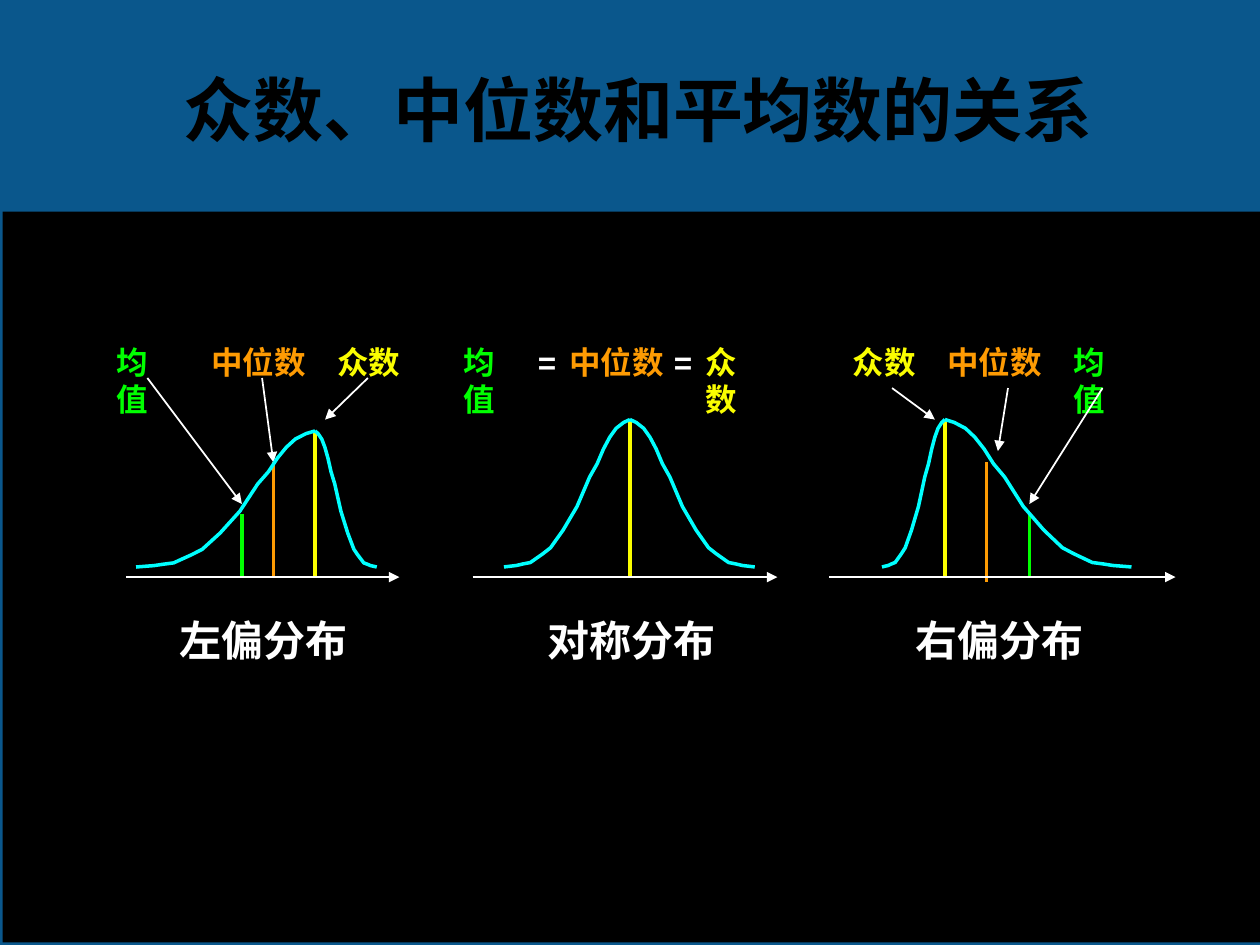
from dataclasses import dataclass

from lxml import etree
from pptx import Presentation
from pptx.dml.color import RGBColor
from pptx.enum.shapes import MSO_CONNECTOR, MSO_SHAPE
from pptx.enum.text import MSO_ANCHOR, MSO_AUTO_SIZE, PP_ALIGN
from pptx.oxml.ns import qn
from pptx.util import Inches, Pt

STRAIGHT = MSO_CONNECTOR.STRAIGHT
RECTANGLE = MSO_SHAPE.RECTANGLE
MIDDLE = MSO_ANCHOR.MIDDLE
LEFT, CENTER = PP_ALIGN.LEFT, PP_ALIGN.CENTER
GROW = MSO_AUTO_SIZE.SHAPE_TO_FIT_TEXT


@dataclass(frozen=True)
class Theme:
    background = RGBColor(0x0A, 0x57, 0x8C)
    black = RGBColor(0, 0, 0)
    white = RGBColor(0xFF, 0xFF, 0xFF)
    mean = RGBColor(0, 0xFF, 0)
    median = RGBColor(0xFE, 0x9B, 0x03)
    mode = RGBColor(0xFA, 0xFD, 0)
    curve = RGBColor(0, 0xFF, 0xFF)
    title_font = "TeX Gyre Pagella"
    body_font = "Arial"
    title_size = Pt(40)
    caption_size = Pt(24)
    label_size = Pt(18)
    thick = Pt(2)
    thin = Pt(1)


theme = Theme()


def add_text(shapes, text, left, top, width, height, *, size, color,
             font=theme.body_font, align=LEFT, wrap=False):
    box = shapes.add_textbox(Inches(left), Inches(top), Inches(width), Inches(height))
    frame = box.text_frame
    frame.word_wrap = wrap
    paragraph = frame.paragraphs[0]
    paragraph.alignment = align
    run = paragraph.add_run()
    run.text = text
    run.font.name = font
    run.font.size = size
    run.font.bold = True
    run.font.color.rgb = color
    return frame


def add_line(shapes, start, end, color, width, arrow=False):
    line = shapes.add_connector(STRAIGHT, *(Inches(v) for v in (*start, *end)))
    line.line.color.rgb = color
    line.line.width = width
    if arrow:
        etree.SubElement(line.line._get_or_add_ln(), qn("a:tailEnd"), type="triangle")
    etree.SubElement(line._element.spPr, qn("a:effectLst"))


# Half of a bell curve, from foot to peak: (share of width, share of height)
BELL = [(0, 0), (0.1, 0.01), (0.15, 0.02), (0.21, 0.03), (0.26, 0.06), (0.31, 0.09),
        (0.37, 0.13), (0.47, 0.25), (0.58, 0.41), (0.68, 0.61), (0.74, 0.7),
        (0.79, 0.8), (0.84, 0.88), (0.89, 0.94), (0.95, 0.98), (1, 1)]
FOOT_Y, AXIS_Y, LABEL_Y, CAPTION_Y = 4.5, 4.58, 2.67, 4.83

MEAN, MEDIAN, MODE = ("均值", theme.mean), ("中位数", theme.median), ("众数", theme.mode)
EQUALS = ("=", theme.white)

# labels: (term, left, width, wrap); markers: (term, x, top, bottom)
distributions = [
    dict(caption="左偏分布", caption_x=1.33, axis=(1, 3.17),
         feet=(2.99, 1.08), peak=(2.5, 3.42),
         labels=[(MEAN, 0.83, 0.69, True), (MEDIAN, 1.58, 0.95, False),
                 (MODE, 2.58, 0.7, False)],
         markers=[(MODE, 2.5, 3.42, AXIS_Y), (MEDIAN, 2.17, 3.67, AXIS_Y),
                  (MEAN, 1.92, 4.08, AXIS_Y)],
         pointers=[((2.92, 3), (2.58, 3.33)), ((2.08, 3), (2.17, 3.67)),
                   ((1.17, 3), (1.92, 4))]),
    dict(caption="对称分布", caption_x=4.25, axis=(3.75, 6.17),
         feet=(5.99, 4), peak=(5, 3.33),
         labels=[(MEAN, 3.58, 0.69, True), (EQUALS, 4.17, 0.41, False),
                 (MEDIAN, 4.42, 0.95, False), (EQUALS, 5.25, 0.41, False),
                 (MODE, 5.5, 0.69, True)],
         markers=[(MODE, 5, 3.33, AXIS_Y)],
         pointers=[]),
    dict(caption="右偏分布", caption_x=7.17, axis=(6.58, 9.33),
         feet=(8.98, 7), peak=(7.5, 3.33),
         labels=[(MODE, 6.67, 0.7, False), (MEDIAN, 7.42, 0.95, False),
                 (MEAN, 8.42, 0.69, True)],
         markers=[(MODE, 7.5, 3.33, AXIS_Y), (MEDIAN, 7.83, 3.67, 4.62),
                  (MEAN, 8.17, 4.08, AXIS_Y)],
         pointers=[((7.08, 3.08), (7.42, 3.33)), ((8, 3.08), (7.92, 3.58)),
                   ((8.75, 3.08), (8.17, 4))]),
]

prs = Presentation()
prs.slide_width, prs.slide_height = Inches(10), Inches(7.5)
slide = prs.slides.add_slide(prs.slide_layouts[6])
slide.background.fill.solid()
slide.background.fill.fore_color.rgb = theme.background

panel = slide.shapes.add_shape(RECTANGLE, Inches(0.02), Inches(1.68), Inches(9.98), Inches(5.8))
panel.shadow.inherit = False
panel.fill.solid()
panel.fill.fore_color.rgb = theme.black
panel.line.fill.background()

title = add_text(slide.shapes, "众数、中位数和平均数的关系", 1.23, 0.27, 7.67, 1.25,
                 size=theme.title_size, color=theme.black, font=theme.title_font,
                 align=CENTER, wrap=True)
title.vertical_anchor = MIDDLE
title.paragraphs[0].line_spacing = 0.95

for dist in distributions:
    shapes = slide.shapes.add_group_shape().shapes
    caption = add_text(shapes, dist["caption"], dist["caption_x"], CAPTION_Y, 1.55, 0.5,
                       size=theme.caption_size, color=theme.white)
    caption.auto_size = GROW
    for (term, color), left, width, wrap in dist["labels"]:
        label = add_text(shapes, term, left, LABEL_Y, width, 0.4,
                         size=theme.label_size, color=color, wrap=wrap)
        label.auto_size = GROW

    for (_, color), x, top, bottom in dist["markers"]:
        add_line(shapes, (x, top), (x, bottom), color, theme.thick)
    for start, end in dist["pointers"]:
        add_line(shapes, start, end, theme.white, theme.thin, arrow=True)
    axis_start, axis_end = dist["axis"]
    add_line(shapes, (axis_start, AXIS_Y), (axis_end, AXIS_Y), theme.white, theme.thin, arrow=True)

    peak_x, peak_y = dist["peak"]
    for foot_x in dist["feet"]:
        points = [(Inches(foot_x + u * (peak_x - foot_x)), Inches(FOOT_Y + v * (peak_y - FOOT_Y)))
                  for u, v in BELL]
        builder = shapes.build_freeform(*points[0])
        builder.add_line_segments(points[1:], close=False)
        half = builder.convert_to_shape()
        half.shadow.inherit = False
        half.fill.background()
        half.line.color.rgb = theme.curve
        half.line.width = theme.thick

prs.save("out.pptx")
